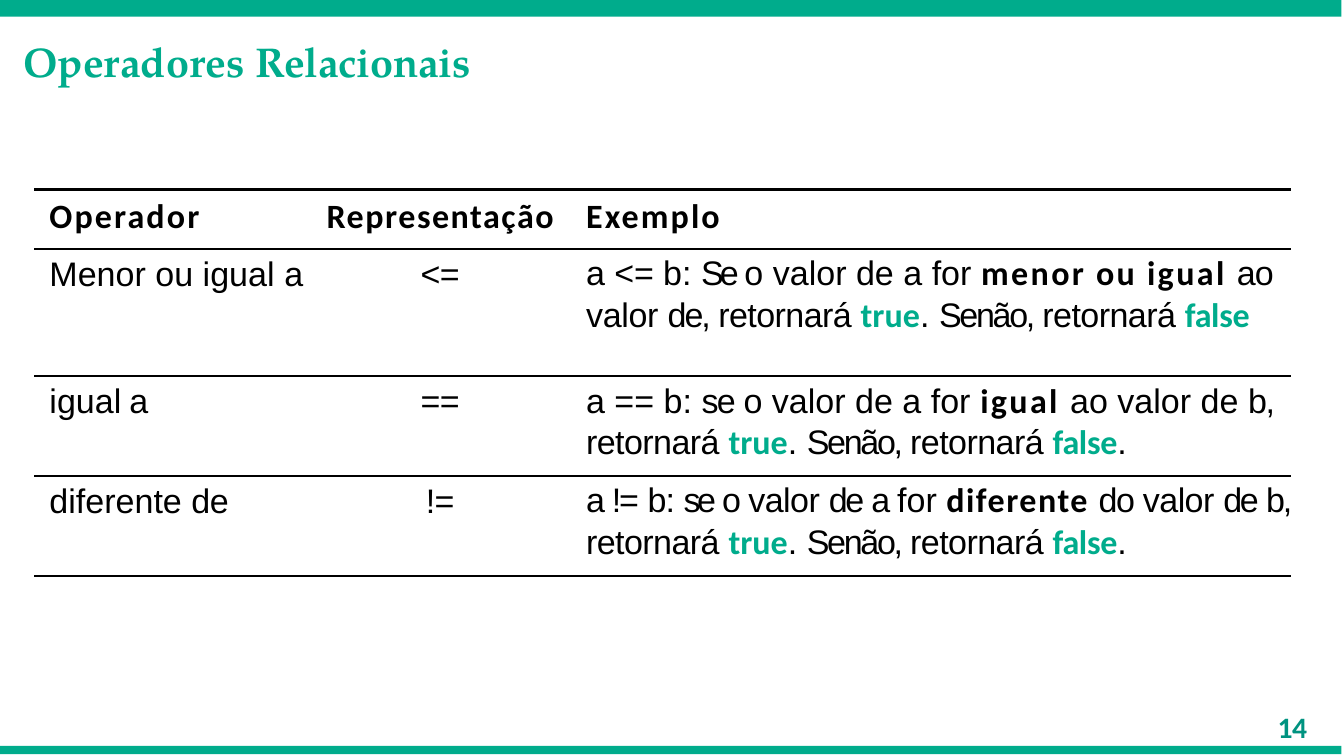
"""Build the slide on relational operators with its comparison table."""
from lxml import etree
from pptx import Presentation
from pptx.dml.color import RGBColor
from pptx.enum.shapes import MSO_SHAPE
from pptx.enum.text import PP_ALIGN
from pptx.oxml.ns import qn
from pptx.util import Cm, Pt

RECTANGLE = MSO_SHAPE.RECTANGLE
LEFT, CENTER = PP_ALIGN.LEFT, PP_ALIGN.CENTER

TITLE = [("Operadores ", "title", 0), ("Relacionais", "title", -0.1)]
PAGE = [("14", "page", -0.2)]
RESULT = [("retornará ", "body", -0.2), ("true", "value", 0), (". ", "body", 0),
          ("Senão, ", "body", -0.8), ("retornará ", "body", -0.2),
          ("false", "value", -0.1)]
STOP = [(".", "body", 0)]
HEADER = [
    [("Operador", "strong", 0.7)],
    [("Representação", "strong", 0.5)],
    [("Exemplo", "strong", 0.7)],
]
OPERATORS = [
    [
        [("Menor ou igual ", "body", 0), ("a", "body", -0.5)],
        [("<=", "body", -0.2)],
        [("a ", "body", 0), ("<= ", "body", -0.1), ("b: ", "body", 0),
         ("Se ", "body", -1.3), ("o valor de a for ", "body", 0),
         ("menor", "strong", 0.8), (" ou", "strong", 0.7), (" igual ", "strong", 0.8),
         ("ao ", "body", -0.3), ("valor ", "body", -0.1), ("de, ", "body", -0.7),
         *RESULT],
    ],
    [
        [("igual", "body", 0), (" a", "body", -0.5)],
        [("==", "body", -0.2)],
        [("a == b: ", "body", 0), ("se ", "body", -0.6),
         ("o valor de a for ", "body", 0), ("igual ", "strong", 0.8),
         ("ao valor de ", "body", 0), ("b, ", "body", -0.5), *RESULT, *STOP],
    ],
    [
        [("diferente ", "body", 0), ("de", "body", -0.2)],
        [("!=", "body", -0.2)],
        [("a ", "body", -0.9), ("!=", "body", -0.7), (" b: ", "body", -0.3),
         ("se ", "body", -1.2), ("o ", "body", -0.7), ("valor ", "body", -0.2),
         ("de ", "body", -0.8), ("a ", "body", -0.9), ("for ", "body", 0),
         ("diferente ", "strong", 0.5), ("do ", "body", -0.5),
         ("valor ", "body", -0.2), ("de ", "body", -0.8), ("b, ", "body", -0.7),
         *RESULT, *STOP],
    ],
]

THEME = {
    "band": "00AC8C",
    "rule": "000000",
    "edge_rule": 1,
    "inner_rule": 0.75,
    "title": ("TeX Gyre Pagella", 14, "00AC8C", True),
    "page": ("Calibri", 10, "009380", True),
    "strong": ("Calibri", 11.5, "000000", True),
    "value": ("Calibri", 11.5, "00AC8C", True),
    "body": ("Arial", 11.5, "000000", False),
}

SLIDE_WIDTH, SLIDE_HEIGHT = 16.03, 9.02
BAND_WIDTH = 16
BANDS = [(0, 0.2), (8.9, 0.1)]
TITLE_BOX = (0.25, 0.38, 5.6, 0.69)
PAGE_BOX = (15.14, 8.41, 0.61, 0.53)
TABLE_LEFT, TABLE_TOP = 0.41, 2.26
COLUMN_WIDTHS = [3.28, 3.12, 8.59]
ROW_HEIGHTS = [0.71, 1.52, 1.19, 1.19]
CELL_INDENT = 0.18


def write(frame, runs, align=LEFT, indent=0.0, before=0.0, spacing=None):
    """Write styled runs as the first paragraph of a text frame."""
    frame.word_wrap = True
    paragraph = frame.paragraphs[0]
    paragraph.alignment = align
    paragraph.space_before = Pt(before)
    if spacing:
        paragraph.line_spacing = spacing
    paragraph._p.get_or_add_pPr().set("marL", str(Cm(indent)))
    for text, style, tracking in runs:
        run = paragraph.add_run()
        run.text = text
        family, size, color, bold = THEME[style]
        run.font.name = family
        run.font.size = Pt(size)
        run.font.bold = bold
        run.font.color.rgb = RGBColor.from_string(color)
        run._r.get_or_add_rPr().set("spc", str(round(tracking * 100)))


def add_text(slide, box, runs, **text_format):
    """Add a text box without side margins."""
    frame = slide.shapes.add_textbox(*map(Cm, box)).text_frame
    frame.margin_left = frame.margin_right = frame.margin_bottom = 0
    frame.margin_top = Cm(0.05)
    write(frame, runs, **text_format)


def add_band(slide, top, height):
    """Add a coloured band across the slide."""
    band = slide.shapes.add_shape(RECTANGLE, 0, Cm(top), Cm(BAND_WIDTH), Cm(height))
    band.shadow.inherit = False
    band.fill.solid()
    band.fill.fore_color.rgb = RGBColor.from_string(THEME["band"])
    band.line.fill.background()


def set_borders(cell, top, bottom):
    """Rule a cell above and below, leaving its sides open."""
    properties = cell._tc.get_or_add_tcPr()
    widths = {"a:lnL": 0, "a:lnR": 0, "a:lnT": top, "a:lnB": bottom}
    for position, (tag, width) in enumerate(widths.items()):
        border = etree.Element(qn(tag), w=str(Pt(width)))
        if width:
            fill = etree.SubElement(border, qn("a:solidFill"))
            etree.SubElement(fill, qn("a:srgbClr"), val=THEME["rule"])
        else:
            etree.SubElement(border, qn("a:noFill"))
        properties.insert(position, border)


def add_operator_table(slide):
    """Add the table of operators with horizontal rules only."""
    rows = [HEADER, *OPERATORS]
    table = slide.shapes.add_table(
        len(rows), len(HEADER), Cm(TABLE_LEFT), Cm(TABLE_TOP),
        Cm(sum(COLUMN_WIDTHS)), Cm(sum(ROW_HEIGHTS))).table
    table.first_row = table.horz_banding = False
    for column, width in zip(table.columns, COLUMN_WIDTHS):
        column.width = Cm(width)
    rules = [THEME["inner_rule"]] * (len(rows) + 1)
    rules[0] = rules[-1] = THEME["edge_rule"]
    for row_index, (row, height) in enumerate(zip(rows, ROW_HEIGHTS)):
        table.rows[row_index].height = Cm(height)
        for column_index, runs in enumerate(row):
            cell = table.cell(row_index, column_index)
            is_example = row_index > 0 and column_index == 2
            is_symbol = column_index == 1
            cell.margin_left = cell.margin_right = cell.margin_bottom = 0
            cell.margin_top = Cm(0.05 if is_example else 0.08)
            cell.fill.background()
            set_borders(cell, rules[row_index], rules[row_index + 1])
            write(cell.text_frame, runs,
                  align=CENTER if is_symbol else LEFT,
                  indent=0 if is_symbol else CELL_INDENT,
                  before=1.7 if is_example else 2,
                  spacing=1.01 if is_example else None)


def main():
    """Assemble and save the slide."""
    deck = Presentation()
    deck.slide_width, deck.slide_height = Cm(SLIDE_WIDTH), Cm(SLIDE_HEIGHT)
    slide = deck.slides.add_slide(deck.slide_layouts[6])
    for top, height in BANDS:
        add_band(slide, top, height)
    add_text(slide, TITLE_BOX, TITLE, indent=0.03, before=1.4)
    add_operator_table(slide)
    add_text(slide, PAGE_BOX, PAGE, indent=0.1, before=1.2)
    deck.save("out.pptx")


if __name__ == "__main__":
    main()
